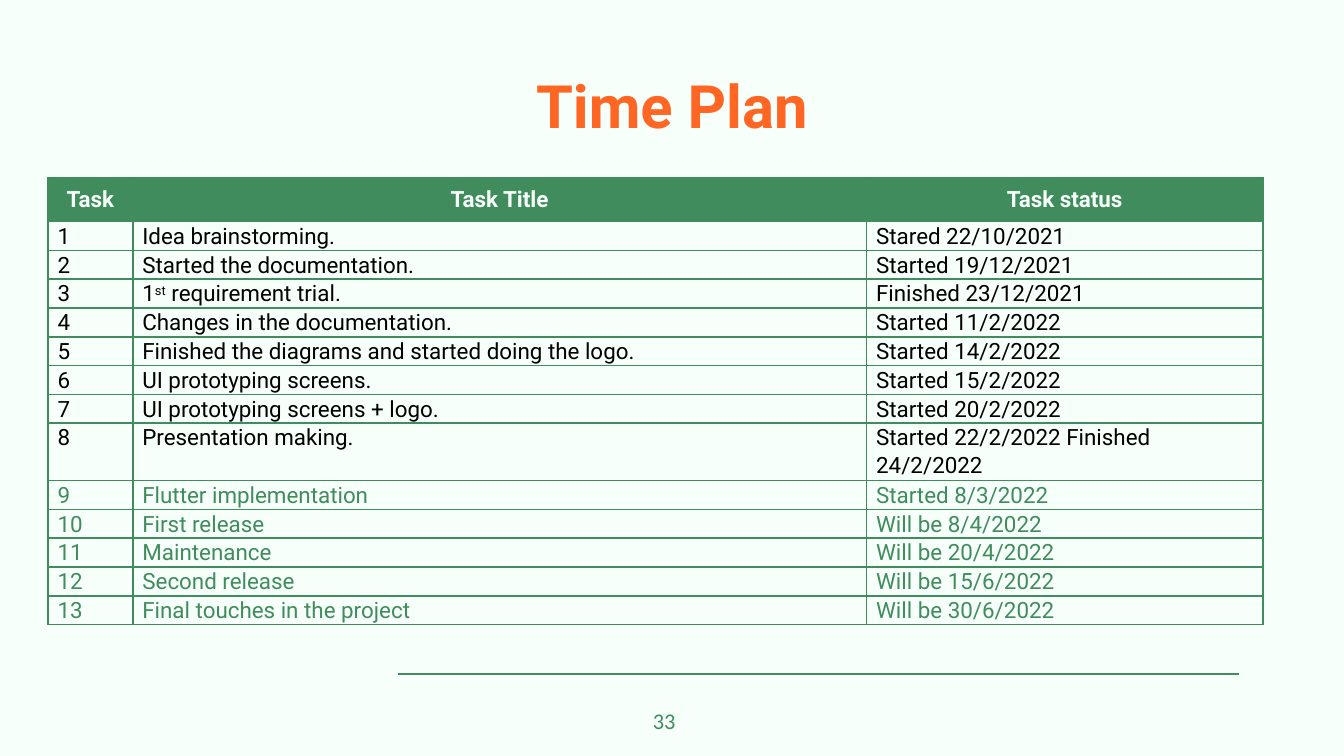
from lxml.etree import SubElement
from pptx import Presentation
from pptx.dml.color import RGBColor
from pptx.enum.shapes import MSO_CONNECTOR
from pptx.enum.text import MSO_ANCHOR, MSO_AUTO_SIZE, PP_ALIGN
from pptx.oxml import parse_xml
from pptx.oxml.ns import nsdecls, qn
from pptx.util import Pt

MINT = RGBColor(0xF7, 0xFF, 0xFB)
GREEN = RGBColor(0x40, 0x8C, 0x5D)
ORANGE = RGBColor(0xFF, 0x66, 0x24)
BLACK = RGBColor(0, 0, 0)

HEADINGS = ["Task", "Task Title", "Task status"]
# Each task is numbered by its place; "^" encloses superscript text
TASKS = [
    ("Idea brainstorming.", "Stared 22/10/2021"),
    ("Started the documentation.", "Started 19/12/2021"),
    ("1^st^ requirement trial.", "Finished 23/12/2021"),
    ("Changes in the documentation.", "Started 11/2/2022"),
    ("Finished the diagrams and started doing the logo.", "Started 14/2/2022"),
    ("UI prototyping screens.", "Started 15/2/2022"),
    ("UI prototyping screens + logo.", "Started 20/2/2022"),
    ("Presentation making.", "Started 22/2/2022 Finished 24/2/2022"),
    ("Flutter implementation", "Started 8/3/2022"),
    ("First release", "Will be 8/4/2022"),
    ("Maintenance", "Will be 20/4/2022"),
    ("Second release", "Will be 15/6/2022"),
    ("Final touches in the project", "Will be 30/6/2022"),
]
FIRST_GREEN_TASK = 9
COLUMN_WIDTHS = [45.4, 393.1, 212.4]
HEADER_HEIGHT = 23.6
LINE_HEIGHT = 15.2
TWO_LINE_TASK = 8


def set_font(paragraph, name, size, color, bold=False):
    font = paragraph.font
    font.name, font.size, font.bold = name, Pt(size), bold
    font.color.rgb = color


def add_title(slide, left, top, width, height):
    title = slide.shapes.title
    title.left, title.top, title.width, title.height = map(Pt, (left, top, width, height))
    frame = title.text_frame
    frame.text = "Time Plan"
    frame.auto_size = MSO_AUTO_SIZE.NONE
    frame.vertical_anchor = MSO_ANCHOR.MIDDLE
    paragraph = frame.paragraphs[0]
    paragraph.alignment = PP_ALIGN.CENTER
    paragraph.line_spacing = 0.9
    set_font(paragraph, "Roboto", 32, ORANGE, bold=True)


def format_cell(cell, fill):
    properties = cell._tc.get_or_add_tcPr()
    for side in ("lnL", "lnR", "lnT", "lnB"):
        properties.append(parse_xml(
            f'<a:{side} {nsdecls("a")} w="{Pt(1)}"><a:solidFill>'
            f'<a:srgbClr val="{GREEN}"/></a:solidFill></a:{side}>'))
    cell.fill.solid()
    cell.fill.fore_color.rgb = fill


def fill_header_cell(cell, text):
    format_cell(cell, GREEN)
    cell.text = text
    cell.vertical_anchor = MSO_ANCHOR.MIDDLE
    paragraph = cell.text_frame.paragraphs[0]
    paragraph.alignment = PP_ALIGN.CENTER
    set_font(paragraph, "Roboto", 12, MINT, bold=True)


def fill_task_cell(cell, text, color):
    format_cell(cell, MINT)
    cell.margin_left = cell.margin_right = Pt(5.2)
    cell.margin_top = cell.margin_bottom = Pt(0)
    paragraph = cell.text_frame.paragraphs[0]
    paragraph.line_spacing = 1.07
    set_font(paragraph, "Roboto", 12, color)
    for index, part in enumerate(text.split("^")):
        run = paragraph.add_run()
        run.text = part
        if index % 2:
            run.font._element.set("baseline", "30000")


def add_task_table(slide, left, top, width, height):
    table = slide.shapes.add_table(
        len(TASKS) + 1, len(HEADINGS), Pt(left), Pt(top), Pt(width), Pt(height)).table
    for column, column_width in zip(table.columns, COLUMN_WIDTHS):
        column.width = Pt(column_width)

    # Header row
    table.rows[0].height = Pt(HEADER_HEIGHT)
    for column, heading in enumerate(HEADINGS):
        fill_header_cell(table.cell(0, column), heading)

    # Task rows
    for number, task in enumerate(TASKS, 1):
        lines = 2 if number == TWO_LINE_TASK else 1
        table.rows[number].height = Pt(lines * LINE_HEIGHT)
        color = GREEN if number >= FIRST_GREEN_TASK else BLACK
        for column, text in enumerate((str(number), *task)):
            fill_task_cell(table.cell(number, column), text, color)


def add_footer(slide, left, top, width, height):
    # Rule
    rule = slide.shapes.add_connector(
        MSO_CONNECTOR.STRAIGHT, Pt(left), Pt(top), Pt(left + width), Pt(top))
    rule.line.color.rgb = GREEN
    rule.line.width = Pt(1)
    SubElement(rule._element.spPr, qn("a:effectLst"))

    # Page number
    number_height = 21.6
    box = slide.shapes.add_textbox(
        Pt(left + 129.6), Pt(top + height - number_height), Pt(33.8), Pt(number_height))
    box.text_frame.word_wrap = True
    box.text_frame.text = "33"
    set_font(box.text_frame.paragraphs[0], "Calibri", 12, GREEN)


def main():
    presentation = Presentation()
    presentation.slide_width, presentation.slide_height = Pt(720), Pt(405)
    slide = presentation.slides.add_slide(presentation.slide_layouts[5])
    slide.background.fill.solid()
    slide.background.fill.fore_color.rgb = MINT

    add_footer(slide, 213.1, 360.9, 450.7, 35.9)
    add_title(slide, 56.9, 43.2, 606.2, 31)
    add_task_table(slide, 25.7, 95.2, sum(COLUMN_WIDTHS),
                   HEADER_HEIGHT + LINE_HEIGHT * (len(TASKS) + 1))
    presentation.save("out.pptx")


if __name__ == "__main__":
    main()
